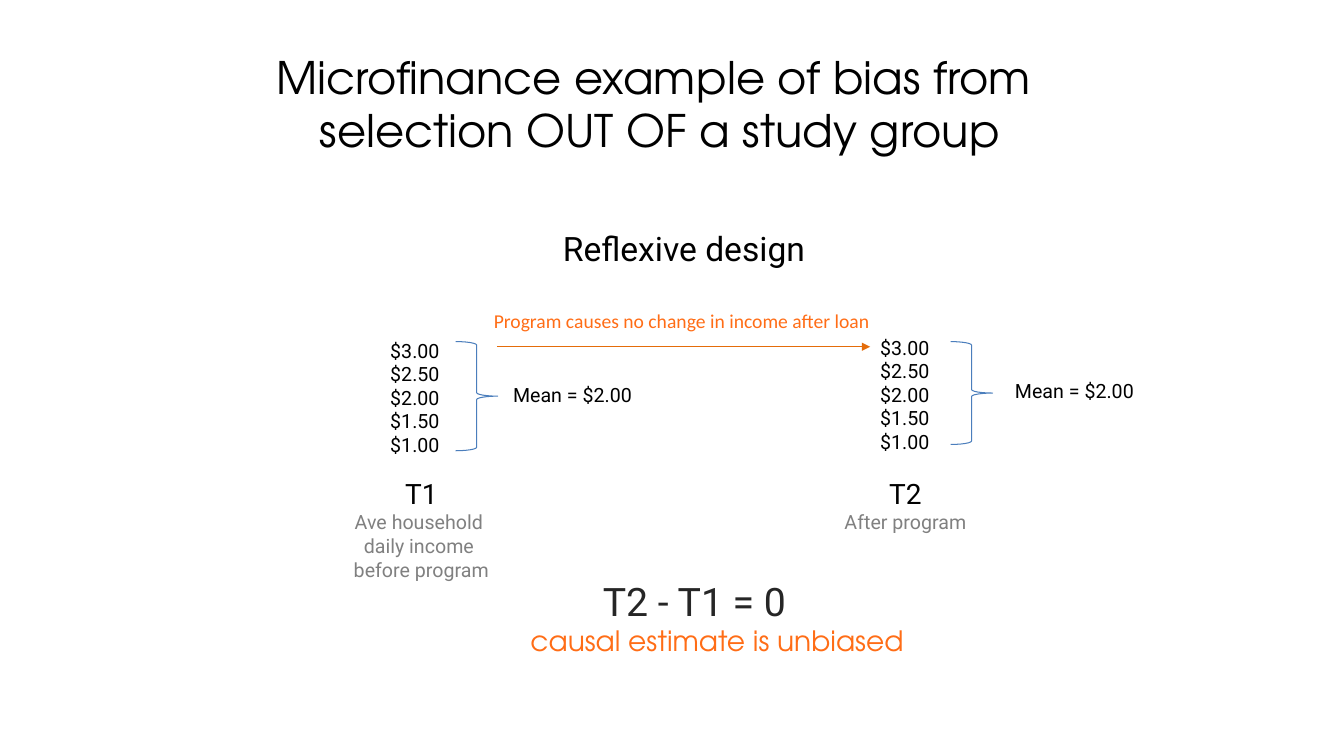
"""Build a slide on bias from selection out of a study group."""

import dataclasses
import typing

import lxml.etree
import pptx
import pptx.dml.color
import pptx.enum.shapes
import pptx.enum.text
import pptx.oxml.ns
import pptx.slide
import pptx.util

Pt = pptx.util.Pt
CENTER = pptx.enum.text.PP_ALIGN.CENTER
LEFT = pptx.enum.text.PP_ALIGN.LEFT


@dataclasses.dataclass(frozen=True)
class Theme:
    black: str = "000000"
    charcoal: str = "262626"
    grey: str = "808080"
    orange: str = "FF6D16"
    arrow: str = "E46C0A"
    brace: str = "4B7EBC"
    body_font: str = "Roboto"
    display_font: str = "TeX Gyre Adventor"
    note_font: str = "Calibri"
    title_size: float = 32
    result_size: float = 28
    heading_size: float = 24
    label_size: float = 20
    body_size: float = 14
    line_width: float = 0.75


THEME = Theme()


class Box(typing.NamedTuple):
    left: float
    top: float
    width: float
    height: float


class Line(typing.NamedTuple):
    text: str
    size: float = THEME.body_size
    color: str = THEME.black
    font: str = THEME.body_font


@dataclasses.dataclass(frozen=True)
class TextBlock:
    box: Box
    lines: tuple[Line, ...]
    wrap: bool = False
    alignment: pptx.enum.text.PP_ALIGN = CENTER


@dataclasses.dataclass(frozen=True)
class Period:
    name: str
    description: str
    label_box: Box
    incomes_box: Box
    brace_box: Box
    mean_box: Box


INCOMES = tuple(Line(f"${amount:.2f}") for amount in (3, 2.5, 2, 1.5, 1))

PERIODS = (
    Period(
        "T1",
        "Ave household \vdaily income \vbefore program",
        Box(245.5, 337, 111, 82),
        Box(271.5, 238.3, 49.7, 92),
        Box(325.5, 244, 30, 78),
        Box(358, 270, 102, 24.5),
    ),
    Period(
        "T2",
        "After program",
        Box(596, 337, 101.5, 48),
        Box(621.5, 236.2, 49.7, 92),
        Box(679, 244, 30, 73.5),
        Box(716.5, 267, 102, 24.5),
    ),
)

TEXT_BLOCKS = (
    TextBlock(
        Box(190, 31.7, 563, 85),
        (Line(
            "Microfinance example of bias from \vselection OUT OF a study group",
            THEME.title_size,
            font=THEME.display_font,
        ),),
        wrap=True,
    ),
    TextBlock(
        Box(190, 159, 597, 36),
        (Line("Reflexive design", THEME.heading_size),),
        wrap=True,
    ),
    TextBlock(
        Box(345.6, 217.4, 286, 24.5),
        (Line(
            "Program causes no change in income after loan",
            color=THEME.orange,
            font=THEME.note_font,
        ),),
        alignment=LEFT,
    ),
    TextBlock(
        Box(421, 409, 150, 40),
        (Line("T2 - T1 = 0", THEME.result_size, THEME.charcoal),),
    ),
    TextBlock(
        Box(368, 441.8, 288.5, 32.5),
        (Line(
            "causal estimate is unbiased",
            THEME.label_size,
            THEME.orange,
            THEME.display_font,
        ),),
    ),
)


def rgb(color: str) -> pptx.dml.color.RGBColor:
    """Turn a hex string into a colour."""
    return pptx.dml.color.RGBColor.from_string(color)


def add_text(slide: pptx.slide.Slide, block: TextBlock) -> None:
    """Add a text box with one paragraph for each line."""
    shape = slide.shapes.add_textbox(*map(Pt, block.box))
    frame = shape.text_frame
    frame.word_wrap = block.wrap
    frame.auto_size = pptx.enum.text.MSO_AUTO_SIZE.SHAPE_TO_FIT_TEXT
    for index, line in enumerate(block.lines):
        paragraph = frame.add_paragraph() if index else frame.paragraphs[0]
        paragraph.text = line.text
        paragraph.alignment = block.alignment
        paragraph.font.name = line.font
        paragraph.font.size = Pt(line.size)
        paragraph.font.color.rgb = rgb(line.color)


def add_brace(slide: pptx.slide.Slide, box: Box) -> None:
    """Add a right brace."""
    shape = slide.shapes.add_shape(
        pptx.enum.shapes.MSO_SHAPE.RIGHT_BRACE, *map(Pt, box)
    )
    shape.shadow.inherit = False
    shape.fill.background()
    shape.line.color.rgb = rgb(THEME.brace)
    shape.line.width = Pt(THEME.line_width)


def add_arrow(slide: pptx.slide.Slide, start: float, end: float, top: float) -> None:
    """Add a horizontal arrow."""
    connector = slide.shapes.add_connector(
        pptx.enum.shapes.MSO_CONNECTOR.STRAIGHT, Pt(start), Pt(top), Pt(end), Pt(top)
    )
    connector.line.color.rgb = rgb(THEME.arrow)
    connector.line.width = Pt(THEME.line_width)
    qualify = pptx.oxml.ns.qn
    line = connector.line._get_or_add_ln()
    lxml.etree.SubElement(line, qualify("a:tailEnd"), type="triangle")
    lxml.etree.SubElement(connector._element.spPr, qualify("a:effectLst"))


def add_period(slide: pptx.slide.Slide, period: Period) -> None:
    """Add the incomes, brace, mean and label of one period."""
    label = (
        Line(period.name, THEME.label_size),
        Line(period.description, color=THEME.grey),
    )
    add_text(slide, TextBlock(period.incomes_box, INCOMES))
    add_brace(slide, period.brace_box)
    add_text(slide, TextBlock(period.mean_box, (Line("Mean = $2.00"),)))
    add_text(slide, TextBlock(period.label_box, label))


def main() -> None:
    """Build and save the presentation."""
    presentation = pptx.Presentation()
    presentation.slide_width, presentation.slide_height = Pt(960), Pt(540)
    slide = presentation.slides.add_slide(presentation.slide_layouts[6])
    for block in TEXT_BLOCKS:
        add_text(slide, block)
    for period in PERIODS:
        add_period(slide, period)
    add_arrow(slide, 355, 621.5, 247.7)
    presentation.save("out.pptx")


if __name__ == "__main__":
    main()
